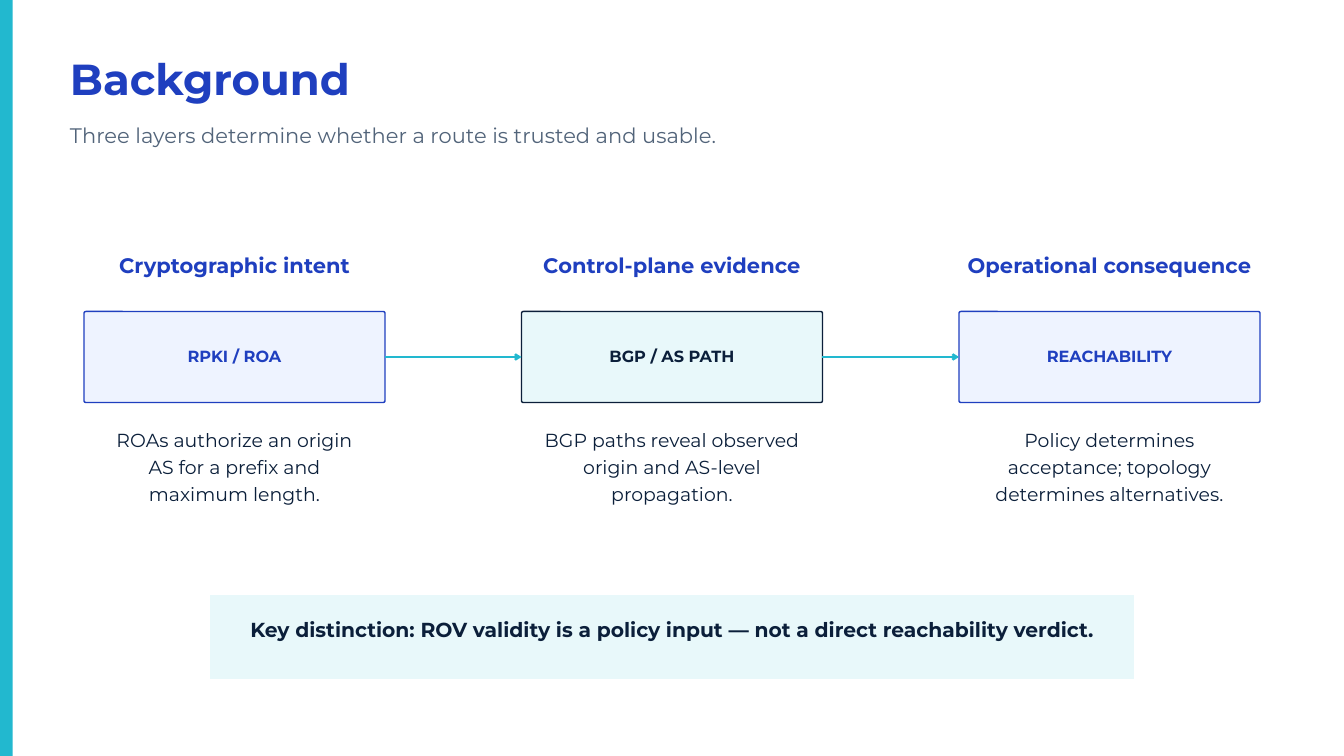
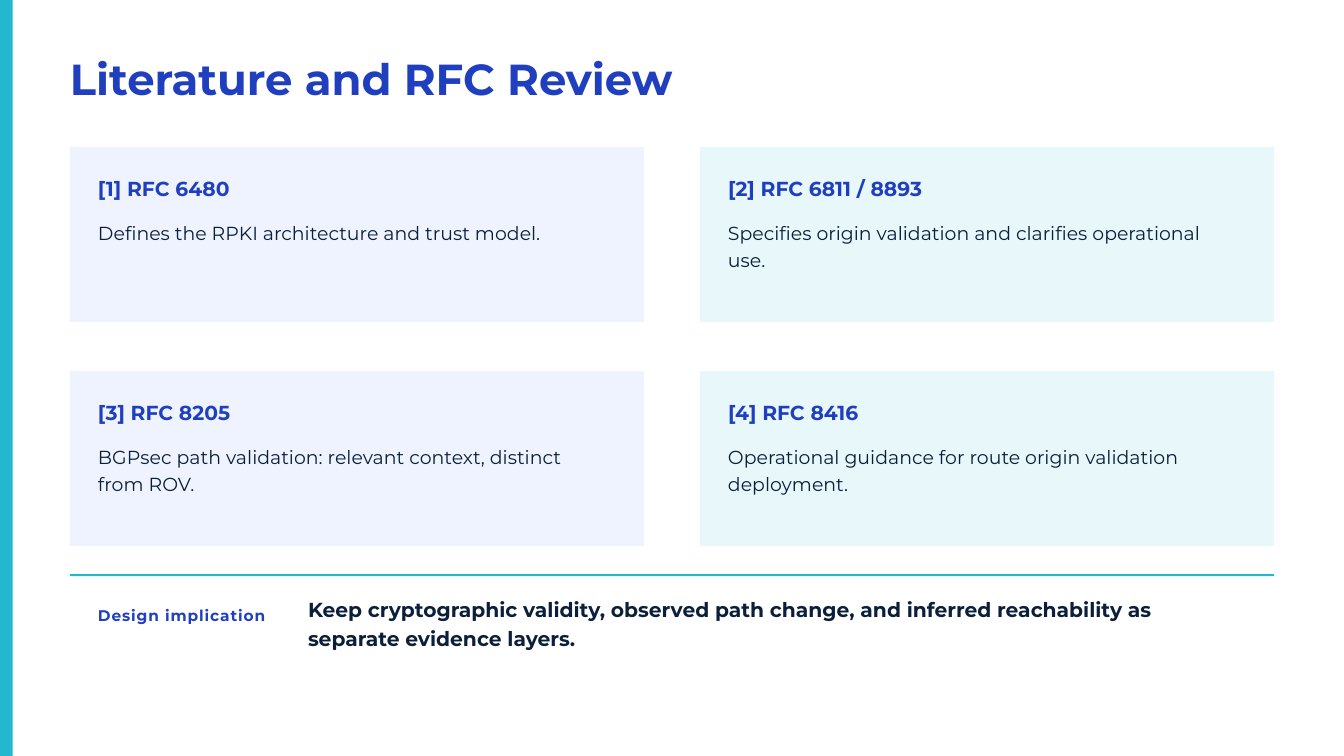
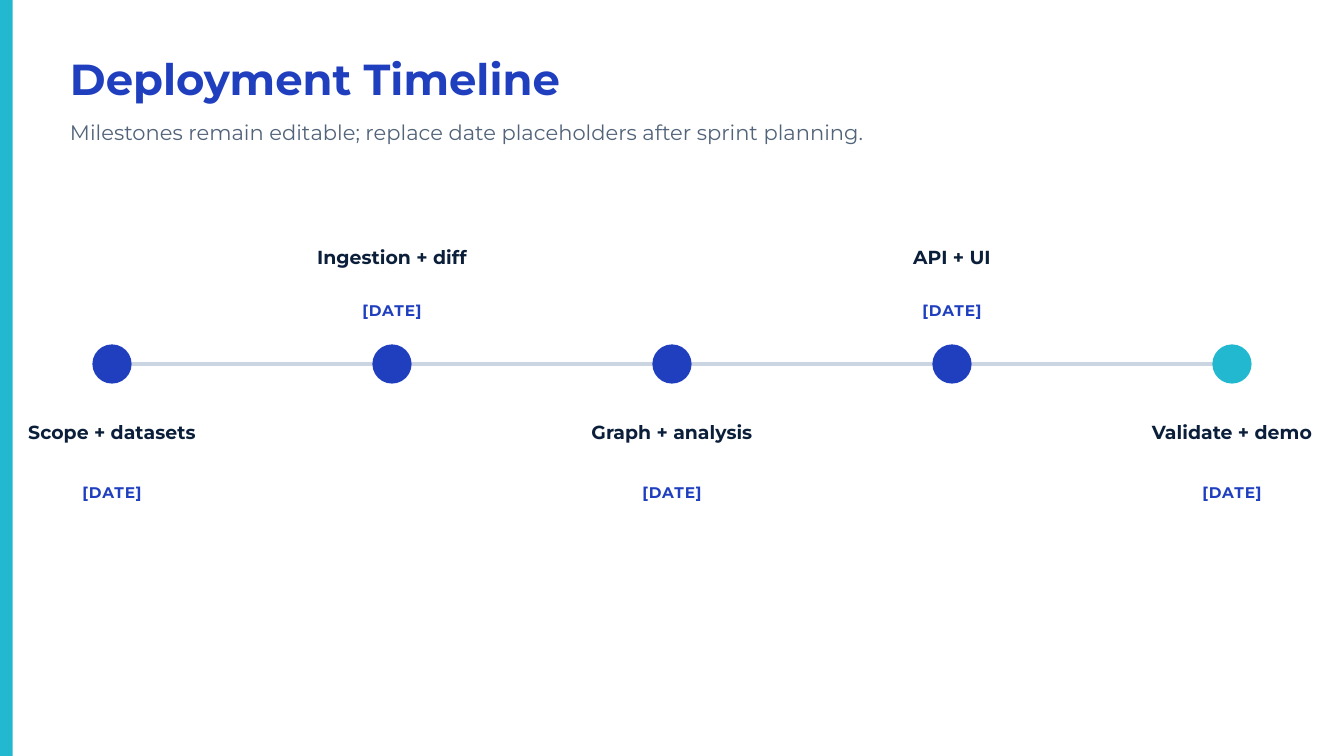
from lxml.etree import SubElement
from pptx import Presentation
from pptx.dml.color import RGBColor
from pptx.enum.shapes import MSO_CONNECTOR as CONN, MSO_SHAPE as SHAPE
from pptx.enum.text import MSO_ANCHOR as ANCHOR, MSO_AUTO_SIZE as AUTO, PP_ALIGN as ALIGN
from pptx.oxml.ns import qn
from pptx.util import Pt

PX = 9525
FONT = "Montserrat"
BLUE, TEAL, NAVY, SLATE, GREY = "1F3FBF", "22B8CF", "0B1F3A", "52647A", "CBD5E1"
PALE_BLUE, PALE_TEAL = "EEF3FF", "E8F8FA"
rgb = RGBColor.from_string

TITLE = (46.5, 50.2, BLUE, True)
SUBTITLE = (22.5, 30.4, SLATE, False)
HEADING = (22.5, 31.5, BLUE, True)
BODY = (20.25, 28.8, NAVY, False)
CARD_TITLE = (21.75, 30.4, BLUE, True)
MESSAGE = (21.75, 30.4, NAVY, True)
MILESTONE = (20.25, 28.4, NAVY, True)
TAG = (16.5, 23.1, BLUE, True)


def add(s, kind, x, y, w, h, fill=None, line=None):
    at = [v * PX for v in (x, y, w, h)]
    if kind is None:
        sp = s.shapes.add_textbox(*at)
        sp.text_frame.auto_size = AUTO.SHAPE_TO_FIT_TEXT
        return sp
    sp = s.shapes.add_shape(kind, *at)
    sp.shadow.inherit = False
    sp.fill.solid()
    sp.fill.fore_color.rgb = rgb(fill)
    if line:
        sp.line.color.rgb = rgb(line)
        sp.line.width = Pt(1.5)
    else:
        sp.line.fill.background()
    return sp


def write(sp, text, style, align=ALIGN.LEFT, spc=0):
    size, leading, color, bold = style
    tf = sp.text_frame
    tf.word_wrap = True
    tf.margin_left = tf.margin_top = tf.margin_right = tf.margin_bottom = 0
    p = tf.paragraphs[0]
    p.alignment = align
    p.line_spacing = Pt(leading)
    r = p.add_run()
    r.text = text
    r.font.name = FONT
    r.font.size = Pt(size)
    r.font.bold = bold
    r.font.color.rgb = rgb(color)
    if spc:
        r._r.get_or_add_rPr().set("spc", str(spc * 100))


prs = Presentation()
prs.slide_width, prs.slide_height = 1920 * PX, 1080 * PX

slides = []
for title, width in (("Background", 1100), ("Literature and RFC Review", 1400),
                     ("Deployment Timeline", 1200)):
    s = prs.slides.add_slide(prs.slide_layouts[6])
    add(s, SHAPE.RECTANGLE, 0, 0, 18, 1080, TEAL)
    write(add(s, None, 100, 82, width, 67), title, TITLE)
    slides.append(s)
background, literature, timeline = slides

s = background
write(add(s, None, 100, 171, 1100, 39),
      "Three layers determine whether a route is trusted and usable.", SUBTITLE)
layers = [
    ("Cryptographic intent", "RPKI / ROA", PALE_BLUE, BLUE,
     "ROAs authorize an origin AS for a prefix and maximum length."),
    ("Control-plane evidence", "BGP / AS PATH", PALE_TEAL, NAVY,
     "BGP paths reveal observed origin and AS-level propagation."),
    ("Operational consequence", "REACHABILITY", PALE_BLUE, BLUE,
     "Policy determines acceptance; topology determines alternatives."),
]
boxes = []
for i, (heading, name, fill, color, detail) in enumerate(layers):
    x = 120 + 625 * i
    sp = add(s, SHAPE.ROUNDED_RECTANGLE, x, 445, 430, 130, fill, color)
    sp.adjustments[0] = 0.02
    sp.text_frame.vertical_anchor = ANCHOR.MIDDLE
    write(sp, name, (17.25, 19.8, color, True), ALIGN.CENTER)
    boxes.append(sp)
    write(add(s, None, x, 355, 430, 41), heading, HEADING, ALIGN.CENTER)
    write(add(s, None, x + 30, 606, 370, 112), detail, BODY, ALIGN.CENTER)
for left, right in zip(boxes, boxes[1:]):
    cn = s.shapes.add_connector(CONN.STRAIGHT, 0, 0, 0, 0)
    cn.begin_connect(left, 3)
    cn.end_connect(right, 1)
    cn.line.color.rgb = rgb(TEAL)
    cn.line.width = Pt(2.25)
    SubElement(cn.line._get_or_add_ln(), qn("a:tailEnd")).set("type", "arrow")
    SubElement(cn._element.spPr, qn("a:effectLst"))
add(s, SHAPE.RECTANGLE, 300, 850, 1320, 120, PALE_TEAL)
write(add(s, None, 340, 876, 1240, 38),
      "Key distinction: ROV validity is a policy input — not a direct reachability verdict.",
      MESSAGE, ALIGN.CENTER)

s = literature
sources = [
    ("[1] RFC 6480", "Defines the RPKI architecture and trust model."),
    ("[2] RFC 6811 / 8893", "Specifies origin validation and clarifies operational use."),
    ("[3] RFC 8205", "BGPsec path validation: relevant context, distinct from ROV."),
    ("[4] RFC 8416", "Operational guidance for route origin validation deployment."),
]
for i, (name, summary) in enumerate(sources):
    row, col = divmod(i, 2)
    x, y = 100 + 900 * col, 210 + 320 * row
    add(s, SHAPE.RECTANGLE, x, y, 820, 250, (PALE_BLUE, PALE_TEAL)[col])
    write(add(s, None, x + 40, y + 36, 500, 38), name, CARD_TITLE)
    write(add(s, None, x + 40, y + 101, 680, 74), summary, BODY)
add(s, SHAPE.RECTANGLE, 100, 820, 1720, 3, TEAL)
write(add(s, None, 140, 861, 300, 30), "Design implication", TAG, spc=1)
write(add(s, None, 440, 848, 1280, 78),
      "Keep cryptographic validity, observed path change, and inferred reachability "
      "as separate evidence layers.", MESSAGE)

s = timeline
write(add(s, None, 100, 166, 1300, 39),
      "Milestones remain editable; replace date placeholders after sprint planning.", SUBTITLE)
cn = s.shapes.add_connector(CONN.STRAIGHT, 160 * PX, 520 * PX, 1760 * PX, 520 * PX)
cn.line.color.rgb = rgb(GREY)
cn.line.width = Pt(4.5)
SubElement(cn._element.spPr, qn("a:effectLst"))
milestones = ["Scope + datasets", "Ingestion + diff", "Graph + analysis", "API + UI",
              "Validate + demo"]
for i, name in enumerate(milestones):
    x = 160 + 400 * i
    name_y, date_y = ((596, 686), (346, 426))[i % 2]
    add(s, SHAPE.OVAL, x - 28, 492, 56, 56, TEAL if name == milestones[-1] else BLUE)
    write(add(s, None, x - 140, name_y, 280, 36), name, MILESTONE, ALIGN.CENTER)
    write(add(s, None, x - 100, date_y, 200, 30), "[DATE]", TAG, ALIGN.CENTER, 1)

prs.save("out.pptx")
